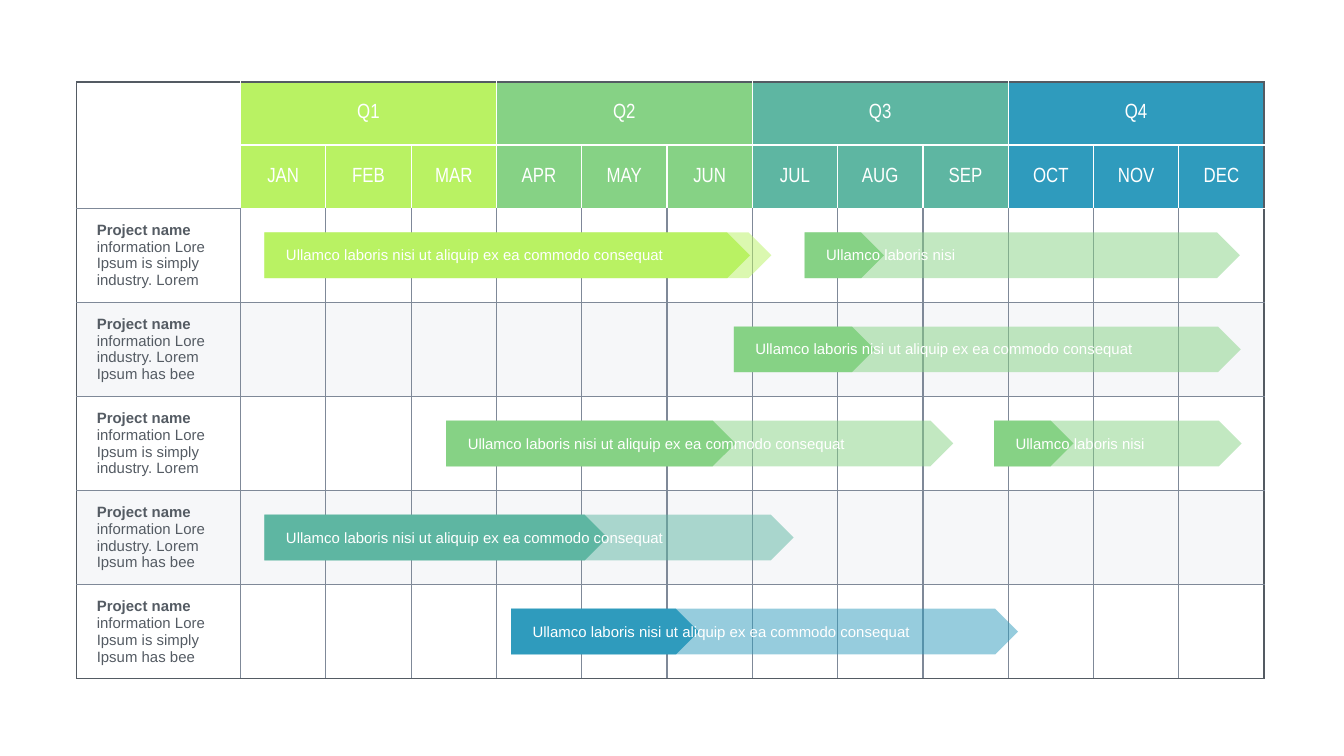
from lxml.etree import SubElement
from pptx import Presentation
from pptx.dml.color import RGBColor
from pptx.enum.shapes import MSO_SHAPE as Shape
from pptx.enum.text import MSO_ANCHOR as Anchor, PP_ALIGN as Align
from pptx.oxml.ns import qn
from pptx.util import Inches, Pt

SLIDE_W, SLIDE_H = 10, 5.625
LABEL_W, MONTH_W = 1.22, 0.635
HEADER_H, PROJECT_H = 0.47, 0.70
BAR_H = 0.34
WHITE, STRIPE, DARK, GRID = "FFFFFF", "EEF0F4", "545B63", "7F8998"
LIME, GREEN, TEAL, BLUE = "B9F263", "86D285", "5EB6A2", "2F9BBD"
QUARTERS = [LIME, GREEN, TEAL, BLUE]
MONTHS = "JAN FEB MAR APR MAY JUN JUL AUG SEP OCT NOV DEC".split()

# Description, row colour, opacity in percent
PROJECTS = [
    ("information Lore Ipsum is simply industry. Lorem", WHITE, 100),
    ("information Lore industry. Lorem Ipsum has bee", STRIPE, 50),
    ("information Lore Ipsum is simply industry. Lorem", WHITE, 100),
    ("information Lore industry. Lorem Ipsum has bee", STRIPE, 50),
    ("information Lore Ipsum is simply Ipsum has bee", WHITE, 50),
]
LONG = "Ullamco laboris nisi ut aliquip ex ea commodo consequat"
SHORT = "Ullamco laboris nisi"
# Project row, start, length and finished part in months, colour, caption, caption width
TASKS = [
    (1, 5.78, 5.94, 1.65, GREEN, LONG, 3.11),
    (0, 0.28, 5.94, 5.69, LIME, LONG, 3.11),
    (3, 0.28, 6.20, 4.02, TEAL, LONG, 3.11),
    (4, 3.17, 5.94, 2.20, BLUE, LONG, 3.11),
    (2, 2.41, 5.94, 3.39, GREEN, LONG, 3.11),
    (2, 8.83, 2.90, 0.93, GREEN, SHORT, 1.43),
    (0, 6.61, 5.10, 0.93, GREEN, SHORT, 1.43),
]
LABEL_FONT = {"name": "Arial", "size": Pt(8)}
HEADER_FONT = {"name": "Arial Narrow", "size": Pt(11)}


def set_all(target, values):
    for key, value in values.items():
        setattr(target, key, value)


def paint(fill, colour, opacity=100):
    fill.solid()
    fill.fore_color.rgb = RGBColor.from_string(colour)
    if opacity < 100:
        for srgb in fill._xPr.iter(qn("a:srgbClr")):
            SubElement(srgb, qn("a:alpha"), val=str(opacity * 1000))


def write(paragraph, text, font, colour, bold=False):
    run = paragraph.add_run()
    run.text = text
    set_all(run.font, font | {"bold": bold})
    paint(run.font.fill, colour)


def set_margins(target, left=0.04):
    set_all(target, {
        "margin_left": Inches(left), "margin_right": Inches(0.04),
        "margin_top": Inches(0.02), "margin_bottom": Inches(0.02),
        "word_wrap": True} if hasattr(target, "word_wrap") else {
        "margin_left": Inches(left), "margin_right": Inches(0.04),
        "margin_top": Inches(0.02), "margin_bottom": Inches(0.02),
        "vertical_anchor": Anchor.MIDDLE})


def edge_colours(cell, row, col):
    """Dark frame, white lines around the header, grey grid elsewhere."""
    bottom = row + (cell.span_height if cell.is_merge_origin else 1)
    right = col + (cell.span_width if cell.is_merge_origin else 1)
    header = row < 2
    inner = WHITE if header and col else GRID
    return {
        "a:lnL": DARK if col == 0 else inner,
        "a:lnR": DARK if right == 13 else WHITE if header else GRID,
        "a:lnT": DARK if row == 0 else WHITE if row <= 2 and col else GRID,
        "a:lnB": DARK if bottom == 7 else inner,
    }


def draw_borders(cell, row, col):
    properties = cell._tc.get_or_add_tcPr()
    for tag, colour in edge_colours(cell, row, col).items():
        line = SubElement(properties, qn(tag), w=str(Pt(0.75)))
        SubElement(SubElement(line, qn("a:solidFill")), qn("a:srgbClr"), val=colour)


def add_calendar(slide, left, top):
    width = LABEL_W + 12 * MONTH_W
    height = 2 * HEADER_H + 5 * PROJECT_H
    table = slide.shapes.add_table(
        7, 13, Inches(left), Inches(top), Inches(width), Inches(height)).table
    set_all(table, {"first_row": False, "horz_banding": False})
    for i, column in enumerate(table.columns):
        column.width = Inches(MONTH_W if i else LABEL_W)
    for i, row in enumerate(table.rows):
        row.height = Inches(HEADER_H if i < 2 else PROJECT_H)

    # Merged corner and quarters
    table.cell(0, 0).merge(table.cell(1, 0))
    for first in range(1, 13, 3):
        table.cell(0, first).merge(table.cell(0, first + 2))

    for row in range(7):
        for col in range(13):
            cell = table.cell(row, col)
            if cell.is_spanned:
                continue
            set_margins(cell, 0.04 if col or row < 2 else 0.15)
            draw_borders(cell, row, col)
            paragraph = cell.text_frame.paragraphs[0]
            if row >= 2:
                description, colour, opacity = PROJECTS[row - 2]
                paint(cell.fill, colour, opacity)
                if col == 0:
                    write(paragraph, "Project name ", LABEL_FONT, DARK, bold=True)
                    write(paragraph, description, LABEL_FONT, DARK)
            elif col:
                quarter = (col - 1) // 3
                paint(cell.fill, QUARTERS[quarter])
                paragraph.alignment = Align.CENTER
                heading = MONTHS[col - 1] if row else f"Q{quarter + 1}"
                write(paragraph, heading, HEADER_FONT, WHITE)
            else:
                cell.fill.background()


def add_task(slide, left, top, length, done, colour, caption, caption_w):
    group = slide.shapes.add_group_shape()
    # Whole task, then its finished part
    for months, opacity in ((length, 50), (done, 100)):
        arrow = group.shapes.add_shape(
            Shape.PENTAGON, Inches(left), Inches(top),
            Inches(months * MONTH_W), Inches(BAR_H))
        arrow.shadow.inherit = False
        arrow.line.fill.background()
        paint(arrow.fill, colour, opacity)
    label = group.shapes.add_textbox(
        Inches(left + 0.12), Inches(top + 0.08), Inches(caption_w), Inches(0.18))
    set_margins(label.text_frame)
    write(label.text_frame.paragraphs[0], caption, LABEL_FONT, WHITE)


def add_tasks(slide, left, top):
    for row, start, *task in TASKS:
        add_task(slide, left + start * MONTH_W,
                 top + row * PROJECT_H + (PROJECT_H - BAR_H) / 2, *task)


def main():
    deck = Presentation()
    set_all(deck, {"slide_width": Inches(SLIDE_W), "slide_height": Inches(SLIDE_H)})
    slide = deck.slides.add_slide(deck.slide_layouts[6])
    left, top = 0.57, 0.61
    add_calendar(slide, left, top)
    add_tasks(slide, left + LABEL_W, top + 2 * HEADER_H)
    deck.save("out.pptx")


if __name__ == "__main__":
    main()
